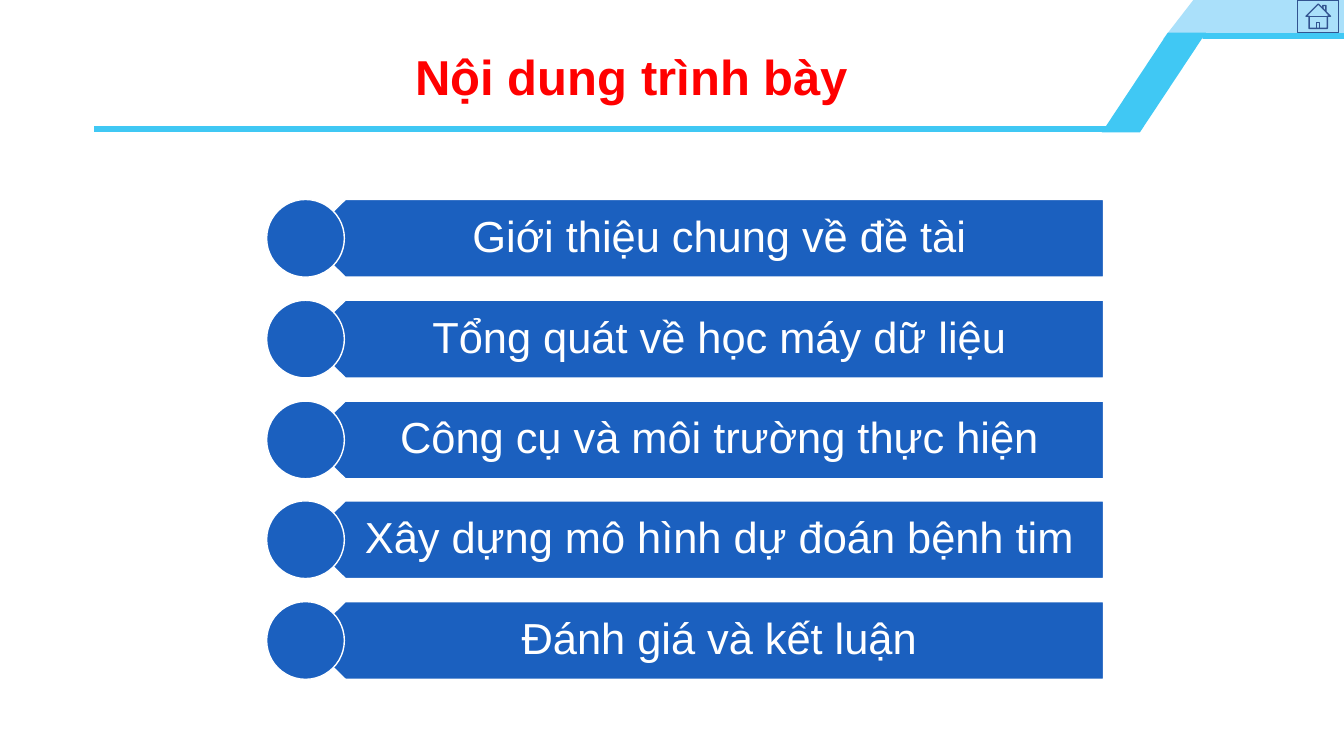
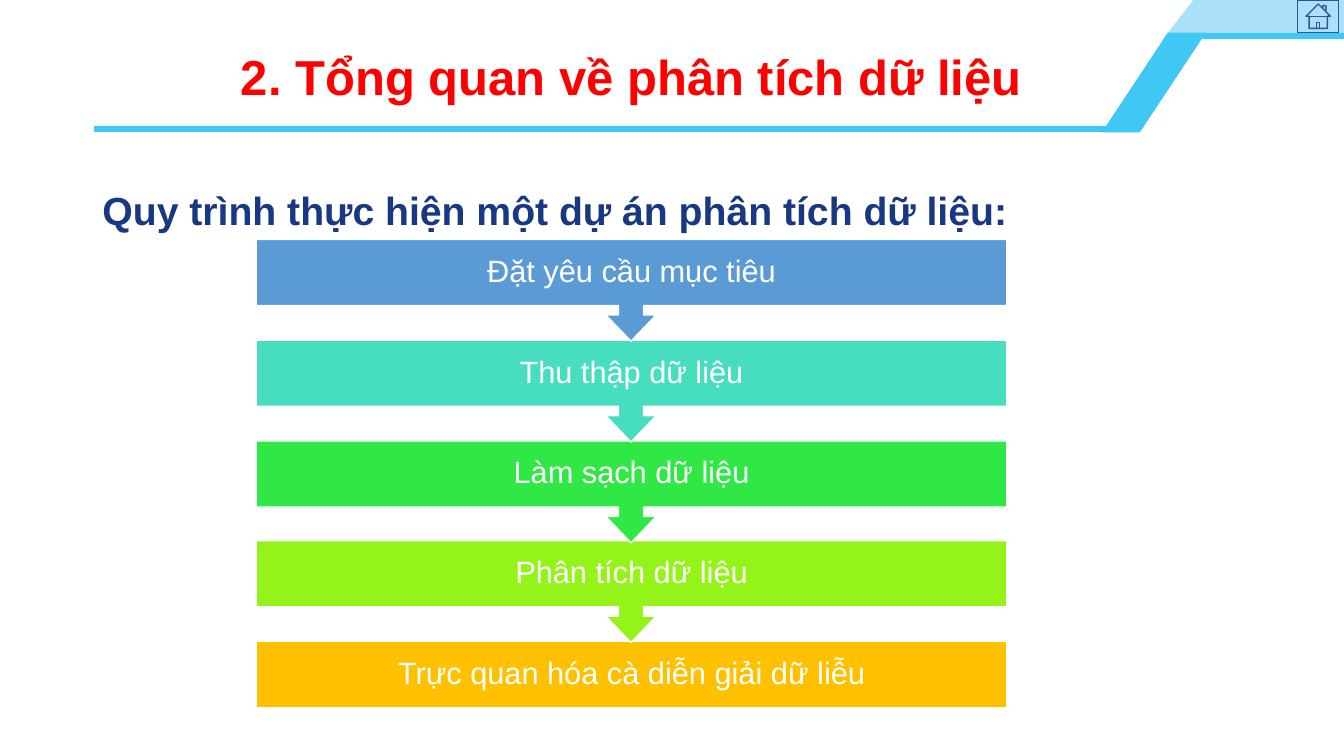
from lxml.etree import SubElement
from pptx import Presentation
from pptx.dml.color import RGBColor
from pptx.enum.shapes import MSO_CONNECTOR as Connector, MSO_SHAPE as Preset
from pptx.enum.text import MSO_ANCHOR as Anchor, MSO_AUTO_SIZE as AutoSize, PP_ALIGN as Align
from pptx.oxml.ns import qn
from pptx.util import Emu, Pt

EMU_PER_PX = 9525  # 96 px to the inch
FONT = "Arial"
WHITE, RED, NAVY = "FFFFFF", "FF0000", "183883"
SKY, PALE_SKY, OUTLINE, BLUE = "40C8F4", "AAE0FA", "325491", "1B60BF"
TITLE_ONLY, TITLE_AND_BODY = 5, 1
BAND_WEIGHT = 4.5


def px(length):
    return Emu(round(length * EMU_PER_PX))


def color(code):
    return RGBColor.from_string(code)


# Shape helpers
def paint(shape, fill, line, weight=1):
    shape.shadow.inherit = False
    if fill:
        shape.fill.solid()
        shape.fill.fore_color.rgb = color(fill)
    else:
        shape.fill.background()
    shape.line.color.rgb = color(line)
    shape.line.width = Pt(weight)


def sharpen(shape):
    outline = shape.element.spPr.find(qn("a:ln"))
    SubElement(outline, qn("a:miter"), lim="800000")


def add_preset(page, preset, box, fill, line, weight=1):
    shape = page.shapes.add_shape(preset, *map(px, box))
    paint(shape, fill, line, weight)
    return shape


def add_outline(page, points, fill, line=WHITE, weight=1):
    builder = page.shapes.build_freeform(*points[0], scale=EMU_PER_PX)
    builder.add_line_segments(points[1:], close=True)
    shape = builder.convert_to_shape()
    paint(shape, fill, line, weight)
    return shape


def add_rule(page, left, right, y):
    rule = page.shapes.add_connector(
        Connector.STRAIGHT, px(left), px(y), px(right), px(y))
    rule.line.color.rgb = color(SKY)
    rule.line.width = Pt(BAND_WEIGHT)
    SubElement(rule.element.spPr, qn("a:effectLst"))


# Text helpers
def write(shape, text, size, code, bold=False, align=Align.CENTER,
          anchor=Anchor.MIDDLE, spacing=0.9):
    frame = shape.text_frame
    frame.word_wrap = True
    frame.auto_size = AutoSize.NONE
    frame.vertical_anchor = anchor
    para = frame.paragraphs[0]
    para.alignment = align
    para.line_spacing = spacing
    span = para.add_run()
    span.text = text
    span.font.name = FONT
    span.font.size = Pt(size)
    span.font.bold = bold
    span.font.color.rgb = color(code)
    return para


def set_insets(shape, left, top, right, bottom):
    frame = shape.text_frame
    frame.margin_left, frame.margin_top = px(left), px(top)
    frame.margin_right, frame.margin_bottom = px(right), px(bottom)


def place(shape, box):
    shape.left, shape.top, shape.width, shape.height = map(px, box)


# Header band, shared by every slide through the master
def draw_header(page):
    add_rule(page, 90, 1057, 123)
    tab = add_outline(page, [(1138, 3), (1277, 3), (1277, 34), (1114, 34)],
                      PALE_SKY, PALE_SKY, BAND_WEIGHT)
    slant = add_preset(page, Preset.PARALLELOGRAM, (1055, 34, 88, 89),
                       SKY, SKY, BAND_WEIGHT)
    slant.adjustments[0] = 0.67
    for shape in (tab, slant):
        sharpen(shape)
    add_rule(page, 1146, 1280, 34)
    add_preset(page, Preset.ACTION_BUTTON_HOME, (1236, 0, 39, 31), None, OUTLINE)


def move_to_master(page, master):
    for number, shape in enumerate(list(page.shapes), start=101):
        if not shape.is_placeholder:
            shape.element.xpath(".//p:cNvPr")[0].set("id", str(number))
            master.shapes.element.append(shape.element)


def add_page(deck, layout, title):
    page = deck.slides.add_slide(deck.slide_layouts[layout])
    place(page.shapes.title, (152, 6, 900, 139))
    write(page.shapes.title, title, 35, RED, bold=True)
    return page


# Agenda: arrow-ended bars, each with a disc over its point
def draw_agenda(page, box, topics):
    left, top, width, height = box
    bar_height = 74
    pitch = (height - bar_height) / (len(topics) - 1)
    half = bar_height // 2
    tip, right = left + half, left + width
    for row, topic in enumerate(topics):
        y = top + round(row * pitch)
        bottom = y + bar_height
        bar = add_outline(page, [(right, bottom), (tip + 38, bottom), (tip, y + half),
                                 (tip + 38, y), (right, y)], BLUE)
        set_insets(bar, 51, 12, 23, 12)
        write(bar, topic, 31, WHITE)
        add_preset(page, Preset.OVAL, (left, y, bar_height, bar_height), BLUE, WHITE)


# Process: boxes that point down to the next one, drawn from the last up
def draw_process(page, box, steps):
    left, top, width, height = box
    step_height, head_top, tip = 63, 72, 97
    stem, head = 12, 24
    pitch = (height - step_height) / (len(steps) - 1)
    right, center = left + width, left + width // 2
    for row, (text, fill) in reversed(list(enumerate(steps))):
        y = top + round(row * pitch)
        base = y + step_height
        is_last = row == len(steps) - 1
        arrow = [] if is_last else [
            (center + stem, base), (center + stem, y + head_top),
            (center + head, y + head_top), (center, y + tip),
            (center - head, y + head_top), (center - stem, y + head_top),
            (center - stem, base)]
        step = add_outline(
            page, [(left, y), (right, y), (right, base), *arrow, (left, base)], fill)
        set_insets(step, 16, 16, 16, 16 if is_last else 50)
        write(step, text, 22, WHITE)


def add_lead(page, text, box):
    body = page.placeholders[1]
    place(body, box)
    para = write(body, text, 28, NAVY, bold=True, align=Align.LEFT,
                 anchor=Anchor.TOP, spacing=1.5)
    para.space_before = Pt(10)
    properties = para._p.get_or_add_pPr()
    properties.set("marL", "0")
    properties.set("indent", "0")
    SubElement(properties, qn("a:buNone"))


def main():
    deck = Presentation()
    deck.slide_width, deck.slide_height = px(1280), px(720)

    # Contents
    agenda = add_page(deck, TITLE_ONLY, "Nội dung trình bày")
    draw_header(agenda)
    move_to_master(agenda, deck.slide_master)
    draw_agenda(agenda, (254, 190, 797, 457), [
        "Giới thiệu chung về đề tài",
        "Tổng quát về học máy dữ liệu",
        "Công cụ và môi trường thực hiện",
        "Xây dựng mô hình dự đoán bệnh tim",
        "Đánh giá và kết luận",
    ])

    # Data analysis process
    process = add_page(deck, TITLE_AND_BODY, "2. Tổng quan về phân tích dữ liệu")
    add_lead(process, "Quy trình thực hiện một dự án phân tích dữ liệu:",
             (88, 150, 1104, 457))
    draw_process(process, (244, 228, 715, 446), [
        ("Đặt yêu cầu mục tiêu", "5B9BD5"),
        ("Thu thập dữ liệu", "46DEBF"),
        ("Làm sạch dữ liệu", "30E845"),
        ("Phân tích dữ liệu", "94F319"),
        ("Trực quan hóa cà diễn giải dữ liễu", "FFC000"),
    ])
    deck.save("out.pptx")


if __name__ == "__main__":
    main()
